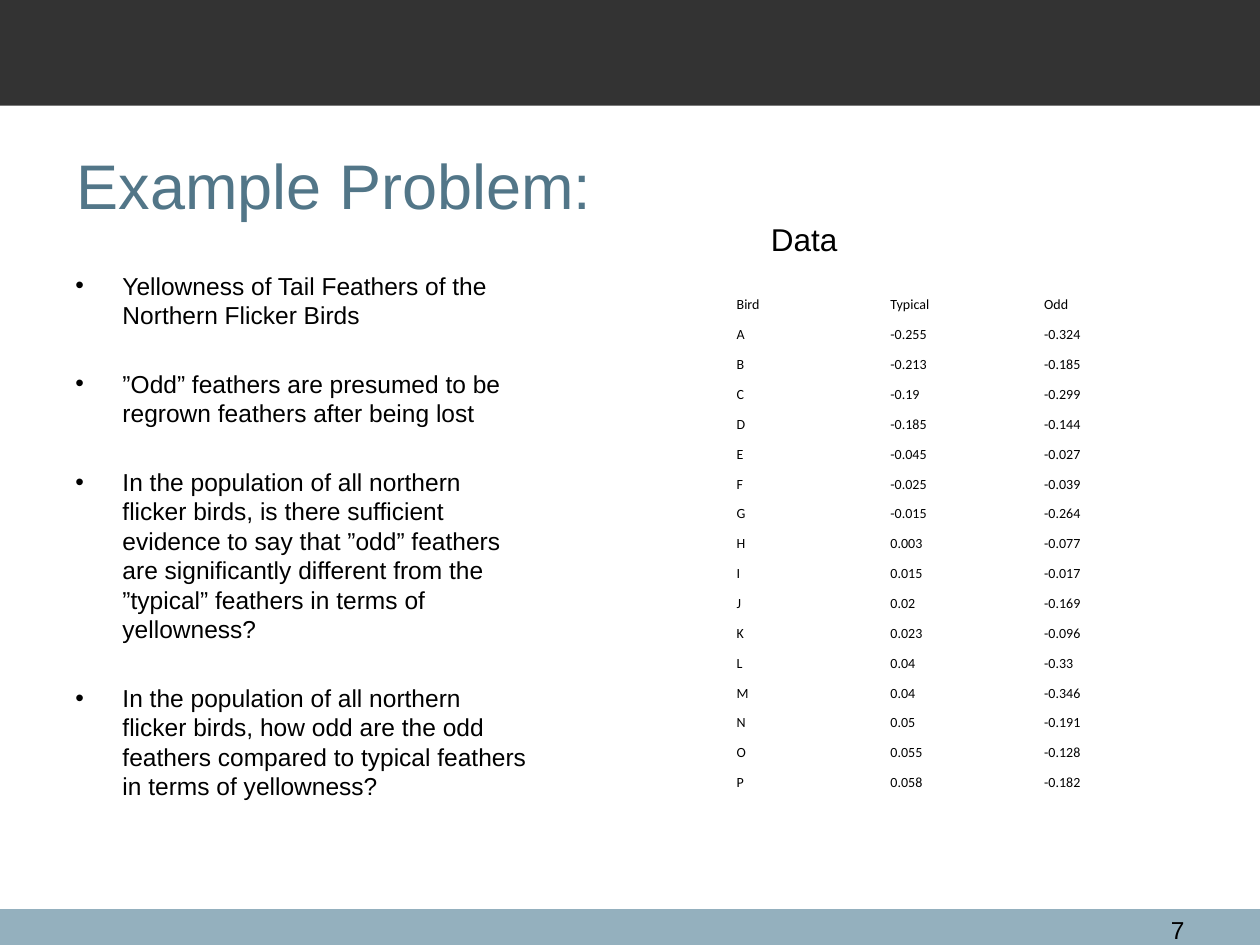
from dataclasses import dataclass

from lxml import etree
from pptx import Presentation
from pptx.dml.color import RGBColor
from pptx.enum import shapes, text
from pptx.oxml.ns import qn
from pptx.util import Cm, Pt


@dataclass(frozen=True)
class Theme:
    font: str = "Arial"
    table_font: str = "Calibri"
    ink: str = "000000"
    title: str = "527688"
    header_band: str = "333333"
    footer_band: str = "94B0BE"
    title_size: int = 36
    label_size: int = 18
    body_size: int = 14
    table_size: int = 8


class SlideBuilder:
    def __init__(self, slide, theme):
        self.s = slide
        self.theme = theme

    def _run(self, p, content, size, color=None, font=None):
        r = p.add_run()
        r.text = content
        r.font.size = Pt(size)
        r.font.name = font or self.theme.font
        r.font.color.rgb = RGBColor.from_string(color or self.theme.ink)

    def _frame(self, box):
        tf = self.s.shapes.add_textbox(*map(Cm, box)).text_frame
        tf.word_wrap = True
        return tf

    def band(self, box, color):
        sp = self.s.shapes.add_shape(shapes.MSO_SHAPE.RECTANGLE, *map(Cm, box))
        sp.shadow.inherit = False
        sp.fill.solid()
        sp.fill.fore_color.rgb = RGBColor.from_string(color)
        sp.line.fill.background()

    def label(self, box, content, size, color=None, align=None, anchor=None):
        tf = self._frame(box)
        tf.vertical_anchor = anchor
        p = tf.paragraphs[0]
        p.alignment = align
        self._run(p, content, size, color)

    def bullets(self, box, items, indent, gap):
        tf = self._frame(box)
        for i, item in enumerate(items):
            p = tf.add_paragraph() if i else tf.paragraphs[0]
            p.space_after = Pt(gap)
            pPr = p._p.get_or_add_pPr()
            pPr.set("marL", str(Cm(indent)))
            pPr.set("indent", str(-Cm(indent)))
            etree.SubElement(pPr, qn("a:buFont")).set("typeface", self.theme.font)
            etree.SubElement(pPr, qn("a:buChar")).set("char", "•")
            self._run(p, item, self.theme.body_size)

    def table(self, box, rows):
        """Plain table: no fills, no banding, text at the foot of each cell."""
        left, top, width, height = map(Cm, box)
        tbl = self.s.shapes.add_table(
            len(rows), len(rows[0]), left, top, width, height).table
        tbl.first_row = tbl.horz_banding = False
        for row, values in zip(tbl.rows, rows):
            for cell, value in zip(row.cells, values):
                cell.fill.background()
                cell.margin_left = cell.margin_right = cell.margin_top = Cm(0.02)
                cell.margin_bottom = 0
                cell.vertical_anchor = text.MSO_ANCHOR.BOTTOM
                self._run(cell.text_frame.paragraphs[0], value,
                          self.theme.table_size, font=self.theme.table_font)


QUESTIONS = [
    "Yellowness of Tail Feathers of the Northern Flicker Birds",
    "”Odd” feathers are presumed to be regrown feathers after being lost",
    "In the population of all northern flicker birds, is there sufficient "
    "evidence to say that ”odd” feathers are significantly different from "
    "the ”typical” feathers in terms of yellowness?",
    "In the population of all northern flicker birds, how odd are the odd "
    "feathers compared to typical feathers in terms of yellowness?",
]

FEATHERS = [
    ("Bird", "Typical", "Odd"),
    ("A", "-0.255", "-0.324"),
    ("B", "-0.213", "-0.185"),
    ("C", "-0.19", "-0.299"),
    ("D", "-0.185", "-0.144"),
    ("E", "-0.045", "-0.027"),
    ("F", "-0.025", "-0.039"),
    ("G", "-0.015", "-0.264"),
    ("H", "0.003", "-0.077"),
    ("I", "0.015", "-0.017"),
    ("J", "0.02", "-0.169"),
    ("K", "0.023", "-0.096"),
    ("L", "0.04", "-0.33"),
    ("M", "0.04", "-0.346"),
    ("N", "0.05", "-0.191"),
    ("O", "0.055", "-0.128"),
    ("P", "0.058", "-0.182"),
]


def main():
    prs = Presentation()
    prs.slide_width, prs.slide_height = Cm(25.4), Cm(19.05)
    theme = Theme()
    b = SlideBuilder(prs.slides.add_slide(prs.slide_layouts[6]), theme)

    b.band((0, 18.33, 25.4, 0.72), theme.footer_band)
    b.band((0, 0, 25.4, 2.13), theme.header_band)
    b.label((1.3, 2.13, 22.86, 3.18), "Example Problem:", theme.title_size,
            theme.title, anchor=text.MSO_ANCHOR.MIDDLE)
    b.bullets((1.27, 5.33, 9.63, 11.68), QUESTIONS, indent=0.95, gap=22.5)
    b.label((22.5, 18.33, 1.63, 0.61), "7", theme.body_size,
            align=text.PP_ALIGN.RIGHT)
    b.label((15.29, 4.32, 4.39, 1.02), "Data", theme.label_size)
    b.table((14.83, 5.72, 9.3, 10.24), FEATHERS)

    prs.save("out.pptx")


if __name__ == "__main__":
    main()
